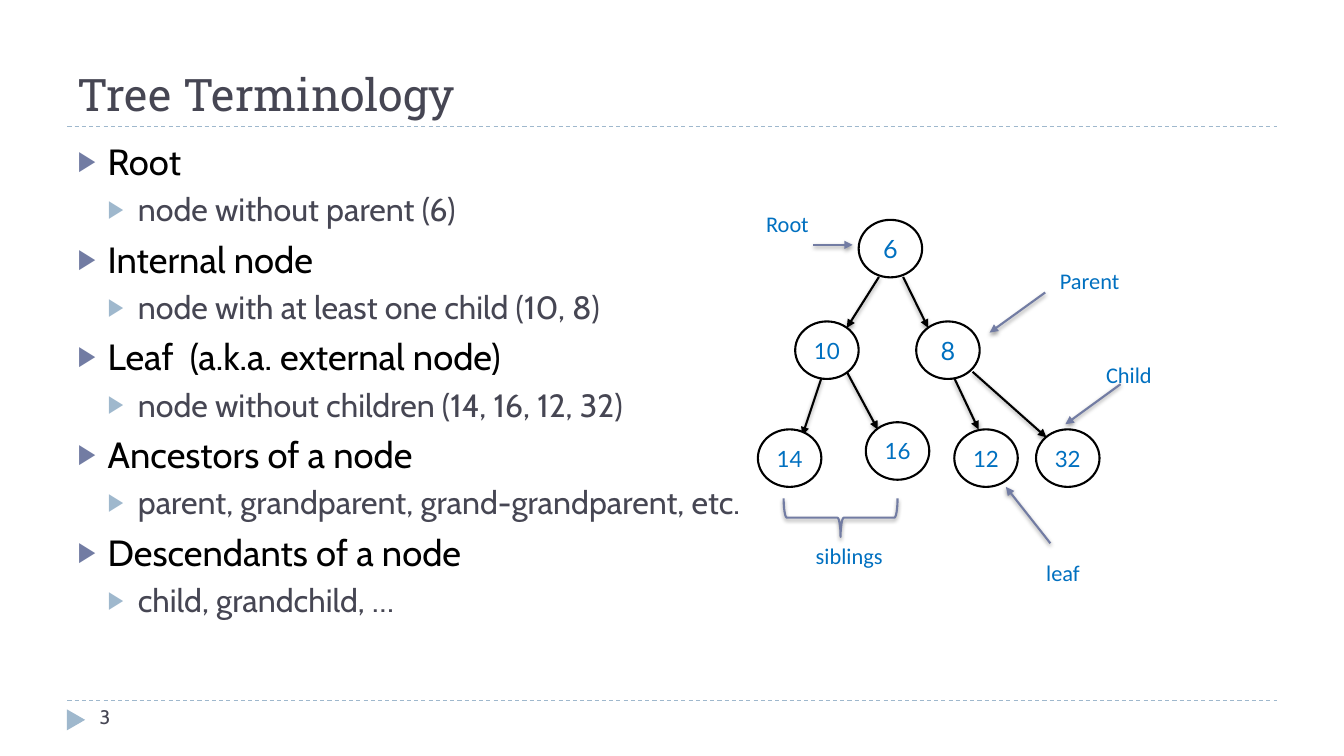
import dataclasses

import pptx
import pptx.dml.color
import pptx.enum.dml
import pptx.enum.shapes
import pptx.enum.text
import pptx.oxml
import pptx.oxml.ns
import pptx.util

Cm = pptx.util.Cm
Pt = pptx.util.Pt
SHAPE = pptx.enum.shapes.MSO_SHAPE
ALIGN = pptx.enum.text.PP_ALIGN
ANCHOR = pptx.enum.text.MSO_ANCHOR


@dataclasses.dataclass(frozen=True)
class Theme:
    ink: str = "464653"
    black: str = "000000"
    white: str = "FFFFFF"
    blue: str = "0070C0"
    slate: str = "727CA3"
    pale: str = "9FB8CD"
    head: str = "Roboto Slab"
    main: str = "Cabin"
    node: str = "Lato"
    label: str = "Calibri"
    title: int = 32
    term: int = 26
    note: int = 23
    digit: int = 18
    small: int = 16
    page: int = 14
    rule: float = 0.75
    line: float = 1.5


T = Theme()

TERMS = [
    ("Root", "node without parent (6)"),
    ("Internal node", "node with at least one child (10, 8)"),
    ("Leaf  (a.k.a. external node)", "node without children (14, 16, 12, 32)"),
    ("Ancestors of a node", "parent, grandparent, grand-grandparent, etc."),
    ("Descendants of a node", "child, grandchild, …"),
]

# Lengths on the slide are in centimetres
NODES = [  # text, left, top
    ("6", 21.64, 5.54),
    ("10", 20.04, 8.1), ("8", 23.09, 8.1),
    ("14", 19.1, 10.82), ("16", 21.82, 10.64),
    ("12", 24.05, 10.82), ("32", 26.11, 10.82),
]
EDGES = [  # start x, y, end x, y
    (22.15, 6.98, 21.34, 8.26), (22.76, 6.98, 23.39, 8.26),
    (20.7, 9.53, 20.22, 10.97), (21.34, 9.37, 22.12, 10.82),
    (24.05, 9.53, 24.66, 10.82), (24.51, 9.37, 26.37, 11.02),
]
HINTS = [
    (20.5, 6.17, 21.49, 6.17), (26.34, 7.37, 24.94, 8.38),
    (28.24, 9.68, 26.85, 10.69), (26.47, 13.69, 25.35, 12.27),
]
LABELS = [  # text, left, top, width
    ("Root", 18.97, 5.18, 1.75), ("Parent", 26.34, 6.6, 2.24),
    ("Child", 27.33, 8.97, 2.24), ("siblings", 19.89, 13.54, 3.02),
    ("leaf", 25.2, 13.97, 3.18),
]


def tint(code):
    return pptx.dml.color.RGBColor.from_string(code)


def make(tag, **attrs):
    node = pptx.oxml.parse_xml(f"<a:{tag} {pptx.oxml.ns.nsdecls('a')}/>")
    for key, value in attrs.items():
        node.set(key, str(value))
    return node


def write(para, text, face, size, color):
    run = para.add_run()
    run.text = text
    run.font.name = face
    run.font.size = Pt(size)
    run.font.color.rgb = tint(color)


def place(shape, left, top, width, height):
    shape.left, shape.top = Cm(left), Cm(top)
    shape.width, shape.height = Cm(width), Cm(height)


def stroke(shape, color, width):
    shape.line.color.rgb = tint(color)
    shape.line.width = Pt(width)


def shade(shape, soft=True):
    """Set a soft drop shadow, or none at all."""
    props = shape.element.spPr
    old = props.find(pptx.oxml.ns.qn("a:effectLst"))
    if old is not None:
        props.remove(old)
    effect = make("effectLst")
    props.append(effect)
    if soft:
        drop = make("outerShdw", blurRad=Pt(3.1), dist=Pt(1.6),
                    dir=5400000, rotWithShape=0)
        color = make("srgbClr", val=T.black)
        color.append(make("alpha", val=38000))
        drop.append(color)
        effect.append(drop)


def link(slide, ends, color, width):
    kind = pptx.enum.shapes.MSO_CONNECTOR.STRAIGHT
    line = slide.shapes.add_connector(kind, *map(Cm, ends))
    stroke(line, color, width)
    return line


def add_rule(slide, top):
    line = link(slide, (1.7, top, 32.18, top), T.pale, T.rule)
    line.line.dash_style = pptx.enum.dml.MSO_LINE.DASH
    shade(line, soft=False)


def add_arrow(slide, ends, color):
    line = link(slide, ends, color, T.line)
    outline = line.element.spPr.find(pptx.oxml.ns.qn("a:ln"))
    outline.append(make("tailEnd", type="triangle"))
    shade(line)


def add_shape(slide, kind, box, fill=None):
    shape = slide.shapes.add_shape(kind, *map(Cm, box))
    shape.shadow.inherit = False
    if fill:
        shape.fill.solid()
        shape.fill.fore_color.rgb = tint(fill)
    else:
        shape.fill.background()
    return shape


def add_node(slide, text, left, top):
    node = add_shape(slide, SHAPE.OVAL, (left, top, 1.6, 1.45), T.white)
    stroke(node, T.black, T.line)
    frame = node.text_frame
    frame.word_wrap = False
    frame.vertical_anchor = ANCHOR.MIDDLE
    para = frame.paragraphs[0]
    para.alignment = ALIGN.CENTER
    size = T.digit if len(text) == 1 else T.small
    write(para, text, T.node, size, T.blue)


def add_text(slide, text, box, face, size, color, align):
    frame = slide.shapes.add_textbox(*map(Cm, box)).text_frame
    frame.word_wrap = True
    para = frame.paragraphs[0]
    para.alignment = align
    write(para, text, face, size, color)


def add_brace(slide):
    brace = add_shape(slide, SHAPE.LEFT_BRACE, (20.7, 11.61, 0.97, 2.87))
    brace.adjustments[0] = 0.083
    brace.rotation = 270
    stroke(brace, T.slate, T.line)
    shade(brace)


def add_item(para, text, level, space):
    size, color, mark = ((T.term, T.black, T.slate),
                         (T.note, T.ink, T.pale))[level]
    para.level = level
    props = para._p.get_or_add_pPr()
    props.set("marL", str(Cm(0.76 * (level + 1))))
    props.set("indent", str(-Cm(0.76)))
    bullet = make("buClr")
    bullet.append(make("srgbClr", val=mark))
    props.extend([bullet, make("buSzPct", val=76000),
                  make("buFont", typeface="Arial"), make("buChar", char="▶")])
    para.space_before = Pt(space)
    write(para, text, T.main, size, color)


def fill_title(title):
    place(title, 1.7, 0.43, 30.48, 2.74)
    frame = title.text_frame
    frame.auto_size = pptx.enum.text.MSO_AUTO_SIZE.NONE
    frame.vertical_anchor = ANCHOR.BOTTOM
    para = frame.paragraphs[0]
    para.alignment = ALIGN.LEFT
    write(para, "Tree Terminology", T.head, T.title, T.ink)


def fill_body(body):
    place(body, 1.7, 3.38, 30.48, 13.72)
    frame = body.text_frame
    frame.auto_size = pptx.enum.text.MSO_AUTO_SIZE.NONE
    for row, (term, note) in enumerate(TERMS):
        para = frame.add_paragraph() if row else frame.paragraphs[0]
        add_item(para, term, 0, 6 if row else 0)
        add_item(frame.add_paragraph(), note, 1, 5)


def main():
    deck = pptx.Presentation()
    deck.slide_width, deck.slide_height = Cm(33.87), Cm(19.05)
    slide = deck.slides.add_slide(deck.slide_layouts[1])

    # Frame of the page
    add_rule(slide, 17.65)
    add_rule(slide, 3.18)
    flag = add_shape(slide, SHAPE.ISOSCELES_TRIANGLE,
                     (1.65, 17.91, 0.53, 0.46), T.pale)
    flag.rotation = 90
    flag.line.fill.background()
    add_text(slide, "3", (2.26, 17.65, 7.34, 1.02),
             T.main, T.page, T.ink, ALIGN.LEFT)

    # Title and list
    fill_title(slide.shapes.title)
    fill_body(slide.placeholders[1])

    # Tree
    for ends in EDGES:
        add_arrow(slide, ends, T.black)
    for node in NODES:
        add_node(slide, *node)

    # Labels and pointers
    for text, left, top, width in LABELS:
        add_text(slide, text, (left, top, width, 0.91),
                 T.label, T.small, T.blue, ALIGN.CENTER)
    for ends in HINTS:
        add_arrow(slide, ends, T.slate)
    add_brace(slide)

    deck.save("out.pptx")


if __name__ == "__main__":
    main()
